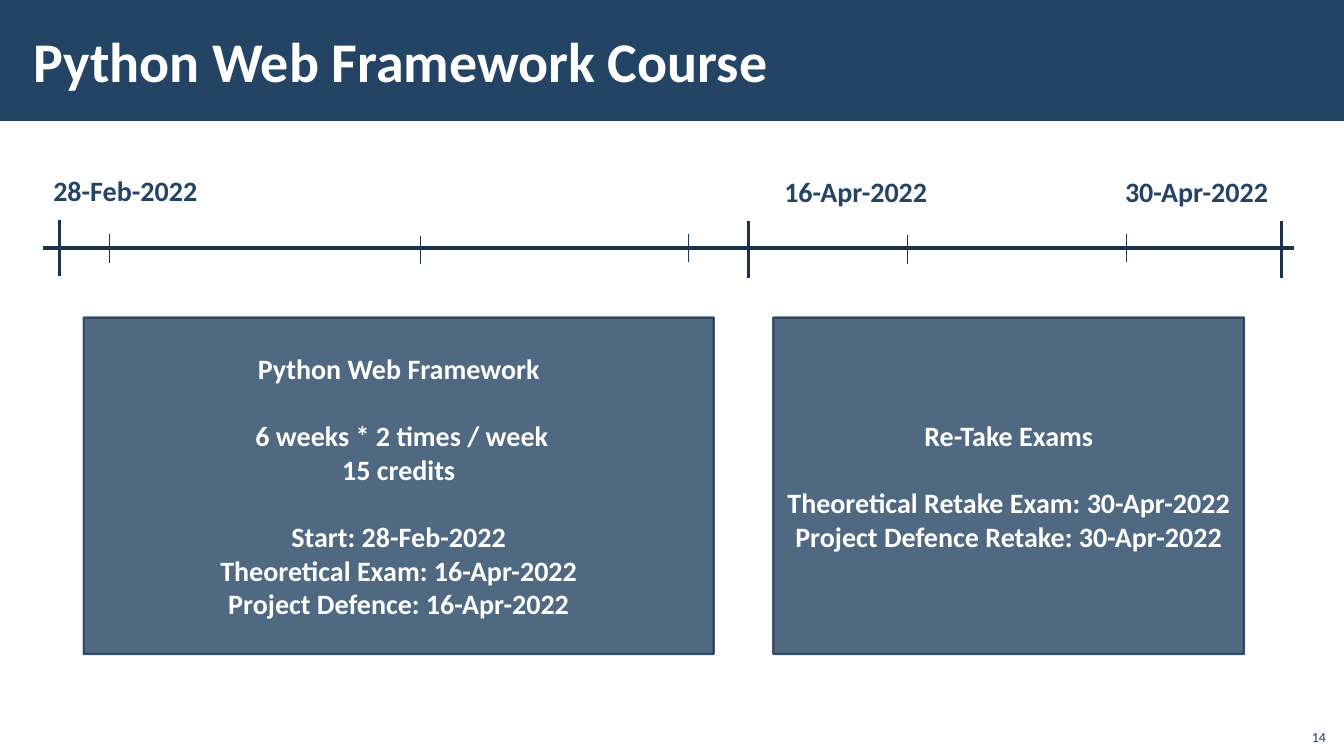
"""Build the course timeline slide."""
from dataclasses import dataclass

from lxml import etree
from pptx import Presentation
from pptx.dml.color import RGBColor
from pptx.enum.shapes import MSO_CONNECTOR, MSO_SHAPE
from pptx.enum.text import MSO_ANCHOR, PP_ALIGN
from pptx.oxml.ns import qn
from pptx.util import Inches, Pt

LINE = MSO_CONNECTOR.STRAIGHT
RECT = MSO_SHAPE.RECTANGLE
TOP, MIDDLE, BOTTOM = MSO_ANCHOR.TOP, MSO_ANCHOR.MIDDLE, MSO_ANCHOR.BOTTOM
LEFT, CENTER, RIGHT = PP_ALIGN.LEFT, PP_ALIGN.CENTER, PP_ALIGN.RIGHT


@dataclass(frozen=True)
class Theme:
    font: str = "Calibri"
    navy: RGBColor = RGBColor(0x23, 0x44, 0x65)
    dark: RGBColor = RGBColor(0x1A, 0x33, 0x4C)
    white: RGBColor = RGBColor(0xFF, 0xFF, 0xFF)
    title: int = 40
    body: int = 20
    small: int = 10
    gap: int = 24
    thick: float = 2.25
    edge: float = 1.5
    thin: float = 0.5
    alpha: int = 80


@dataclass(frozen=True)
class Tick:
    x: float
    top: float
    end: float
    width: float


@dataclass(frozen=True)
class Label:
    text: str
    left: float
    top: float
    width: float
    height: float
    size: int
    color: RGBColor
    bold: bool = True
    align: PP_ALIGN = LEFT
    anchor: MSO_ANCHOR = TOP
    wrap: bool = True
    inset: float = 0.1


@dataclass(frozen=True)
class Card:
    left: float
    width: float
    groups: tuple[tuple[str, ...], ...]


THEME = Theme()
AXIS = 2.46
CARD_TOP, CARD_HIGH = 3.15, 3.34

TICKS = (
    Tick(0.59, 2.18, 2.74, THEME.thick),
    Tick(7.42, 2.19, 2.76, THEME.thick),
    Tick(12.71, 2.19, 2.76, THEME.thick),
    Tick(1.08, 2.32, 2.61, THEME.thin),
    Tick(4.17, 2.34, 2.62, THEME.thin),
    Tick(6.83, 2.32, 2.6, THEME.thin),
    Tick(9, 2.33, 2.62, THEME.thin),
    Tick(11.17, 2.32, 2.6, THEME.thin),
)

DATES = (("28-Feb-2022", 0.43, 1.67), ("16-Apr-2022", 7.68, 1.68),
         ("30-Apr-2022", 11.06, 1.68))

LABELS = (
    Label("Python Web Framework Course", 0.21, 0.11, 10.63, 0.97, THEME.title,
          THEME.white, anchor=MIDDLE, inset=0.12),
    Label("14", 12.85, 7.12, 0.4, 0.32, THEME.small, THEME.navy, bold=False,
          align=RIGHT, anchor=BOTTOM),
    *(Label(text, left, top, 1.65, 0.44, THEME.body, THEME.navy, wrap=False)
      for text, left, top in DATES),
)

CARDS = (
    Card(0.83, 6.25, (
        ("Python Web Framework",),
        (" 6 weeks * 2 times / week", "15 credits"),
        ("Start: 28-Feb-2022", "Theoretical Exam: 16-Apr-2022",
         "Project Defence: 16-Apr-2022"),
    )),
    Card(7.67, 4.67, (
        ("Re-Take Exams",),
        ("Theoretical Retake Exam: 30-Apr-2022",
         "Project Defence Retake: 30-Apr-2022"),
    )),
)


def add_run(para, text: str, size: int, color: RGBColor, bold: bool) -> None:
    """Append one styled run to a paragraph."""
    run = para.add_run()
    run.text = text
    run.font.name = THEME.font
    run.font.size = Pt(size)
    run.font.bold = bold
    run.font.color.rgb = color


def add_rect(slide, left: float, top: float, width: float, height: float):
    """Add a flat navy rectangle."""
    rect = slide.shapes.add_shape(
        RECT, Inches(left), Inches(top), Inches(width), Inches(height))
    rect.shadow.inherit = False
    rect.fill.solid()
    rect.fill.fore_color.rgb = THEME.navy
    rect.line.fill.background()
    return rect


def add_line(slide, x1: float, y1: float, x2: float, y2: float,
             width: float) -> None:
    """Draw a dark straight line without a shadow."""
    line = slide.shapes.add_connector(
        LINE, Inches(x1), Inches(y1), Inches(x2), Inches(y2))
    line.line.color.rgb = THEME.dark
    line.line.width = Pt(width)
    etree.SubElement(line._element.spPr, qn("a:effectLst"))


def add_label(slide, label: Label) -> None:
    """Add a text box with a single line."""
    box = slide.shapes.add_textbox(Inches(label.left), Inches(label.top),
                                   Inches(label.width), Inches(label.height))
    frame = box.text_frame
    frame.word_wrap = label.wrap
    frame.vertical_anchor = label.anchor
    frame.margin_left = frame.margin_right = Inches(label.inset)
    para = frame.paragraphs[0]
    para.alignment = label.align
    add_run(para, label.text, label.size, label.color, label.bold)


def add_card(slide, card: Card) -> None:
    """Add a translucent card with spaced groups of centred lines."""
    rect = add_rect(slide, card.left, CARD_TOP, card.width, CARD_HIGH)
    rect.line.color.rgb = THEME.dark
    rect.line.width = Pt(THEME.edge)
    for color in rect._element.spPr.iter(qn("a:srgbClr")):
        etree.SubElement(color, qn("a:alpha"), val=str(THEME.alpha * 1000))
    frame = rect.text_frame
    frame.word_wrap = True
    frame.vertical_anchor = MIDDLE
    para = frame.paragraphs[0]
    for g, group in enumerate(card.groups):
        for n, text in enumerate(group):
            if g or n:
                para = frame.add_paragraph()
            if g and not n:
                para.space_before = Pt(THEME.gap)
            para.alignment = CENTER
            add_run(para, text, THEME.body, THEME.white, True)


def main() -> None:
    """Build and save the slide."""
    deck = Presentation()
    deck.slide_width, deck.slide_height = Inches(13.33), Inches(7.5)
    slide = deck.slides.add_slide(deck.slide_layouts[6])
    add_rect(slide, 0, 0, 13.33, 1.2)
    add_line(slide, 0.43, AXIS, 12.83, AXIS, THEME.thick)
    for tick in TICKS:
        add_line(slide, tick.x, tick.top, tick.x, tick.end, tick.width)
    for label in LABELS:
        add_label(slide, label)
    for card in CARDS:
        add_card(slide, card)
    deck.save("out.pptx")


if __name__ == "__main__":
    main()
